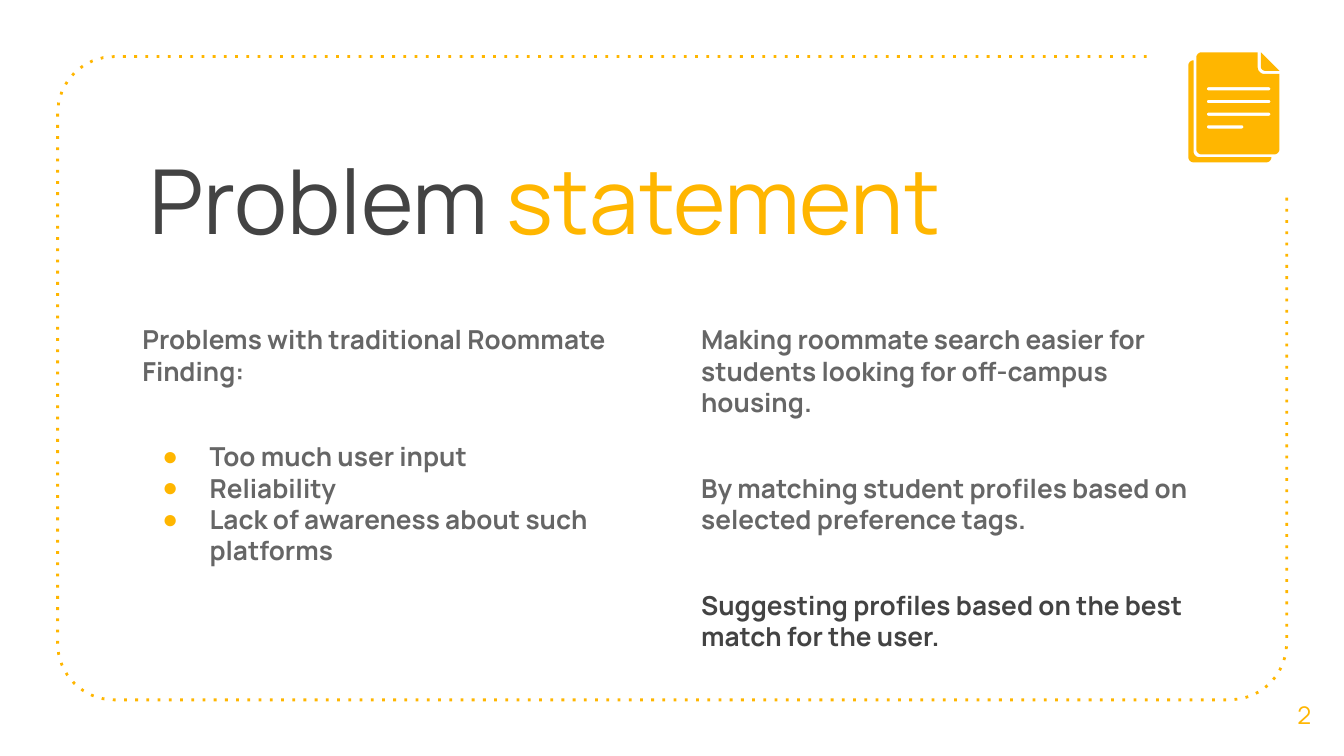
from math import cos, radians, sin

from lxml import etree
from pptx import Presentation
from pptx.dml.color import RGBColor
from pptx.enum.text import MSO_ANCHOR, MSO_AUTO_SIZE, PP_ALIGN
from pptx.oxml.ns import qn
from pptx.util import Cm, Pt

AMBER = RGBColor(0xFF, 0xB6, 0x00)
CHARCOAL = RGBColor(0x43, 0x43, 0x43)
GRAY = RGBColor(0x66, 0x66, 0x66)
FONT = "Manrope"
TWO_CONTENT_LAYOUT = 3
TOP, MIDDLE = MSO_ANCHOR.TOP, MSO_ANCHOR.MIDDLE
LEFT, CENTER = PP_ALIGN.LEFT, PP_ALIGN.CENTER
NO_AUTOFIT = MSO_AUTO_SIZE.NONE
INSET = Cm(0.25)
SECTION_GAP = Pt(29)

PROBLEMS = ["Too much user input", "Reliability", "Lack of awareness about such platforms"]
GOALS = [
    ("Making roommate search easier for students looking for off-campus housing.", GRAY),
    ("By matching student profiles based on selected preference tags.", GRAY),
    ("Suggesting profiles based on the best match for the user.", CHARCOAL),
]


def arc(center_x, center_y, radius, start, end, steps=8):
    """Points in cm along an arc; angles in degrees, clockwise from the right."""
    angles = [radians(start + (end - start) * step / steps) for step in range(steps + 1)]
    return [(center_x + radius * cos(a), center_y + radius * sin(a)) for a in angles]


def rounded_box(left, top, width, height, radius):
    right, bottom = left + width, top + height
    return (arc(left + radius, top + radius, radius, 180, 270)
            + arc(right - radius, top + radius, radius, 270, 360)
            + arc(right - radius, bottom - radius, radius, 0, 90)
            + arc(left + radius, bottom - radius, radius, 90, 180))


def add_outline(shapes, contours, close=True):
    """Freeform from contours in cm; later contours cut holes in the first."""
    contours = [[(Cm(x), Cm(y)) for x, y in contour] for contour in contours]
    builder = shapes.build_freeform(*contours[0][0])
    builder.add_line_segments(contours[0][1:], close=close)
    for contour in contours[1:]:
        builder.move_to(*contour[0])
        builder.add_line_segments(contour[1:], close=close)
    shape = builder.convert_to_shape()
    shape.shadow.inherit = False
    if close:
        shape.fill.solid()
        shape.fill.fore_color.rgb = AMBER
        shape.line.fill.background()
    return shape


def add_dotted_frame(slide, left, top, width, height):
    """Rounded frame left open at the top right corner for the icon."""
    radius, gap_x, gap_y = 1.07, 2.65, 2.64
    right, bottom = left + width, top + height
    points = ([(right - gap_x, top)]
              + arc(left + radius, top + radius, radius, 270, 180)
              + arc(left + radius, bottom - radius, radius, 180, 90)
              + arc(right - radius, bottom - radius, radius, 90, 0)
              + [(right, top + gap_y)])
    frame = add_outline(slide.shapes, [points], close=False)
    frame.fill.background()
    frame.line.color.rgb = AMBER
    frame.line.width = Pt(1.5)
    line = frame._element.spPr.find(qn("a:ln"))
    etree.SubElement(line, qn("a:prstDash"), val="dot")


def add_document_icon(slide, left, top, width, height):
    """Two stacked pages with a folded corner and four text lines."""
    offset, radius, fold, notch = 0.15, 0.1, 0.35, 0.41
    page_width, page_height = width - offset, height - offset
    page_left, right, bottom = left + offset, left + width, top + page_height
    group = slide.shapes.add_group_shape()

    back_right, back_bottom = left + page_width, top + height
    inner_x, inner_y = left + radius, bottom + 0.05
    back_page = (arc(left + radius, top + offset + radius, radius, 270, 180)
                 + arc(left + radius, back_bottom - radius, radius, 180, 90)
                 + arc(back_right - radius, back_bottom - radius, radius, 90, 0)
                 + arc(inner_x + radius, inner_y - radius, radius, 90, 180)
                 + [(inner_x, top + offset)])
    add_outline(group.shapes, [back_page])

    front_page = (arc(page_left + radius, top + radius, radius, 270, 180)
                  + arc(page_left + radius, bottom - radius, radius, 180, 90)
                  + arc(right - radius, bottom - radius, radius, 90, 0)
                  + [(right, top + notch)]
                  + arc(right - notch + 0.13, top + notch - 0.13, 0.13, 90, 180)
                  + [(right - notch, top)])
    text_lines = [rounded_box(page_left + 0.2, top + 0.66 + 0.24 * row, length, 0.06, 0.03)
                  for row, length in enumerate([1.2, 1.2, 1.2, 0.69])]
    add_outline(group.shapes, [front_page] + text_lines)

    folded_corner = ([(right - fold, top)]
                     + arc(right - fold + 0.08, top + fold - 0.08, 0.08, 180, 90)
                     + [(right, top + fold)])
    add_outline(group.shapes, [folded_corner])


def prepare_text(shape, box, anchor=TOP):
    shape.left, shape.top, shape.width, shape.height = [Cm(length) for length in box]
    frame = shape.text_frame
    frame.word_wrap = True
    frame.auto_size = NO_AUTOFIT
    frame.vertical_anchor = anchor
    frame.margin_left = frame.margin_right = INSET
    frame.margin_top = frame.margin_bottom = INSET
    return frame


def format_paragraph(paragraph, size, color=None, bold=False, alignment=LEFT):
    paragraph.alignment = alignment
    paragraph.font.name = FONT
    paragraph.font.size = Pt(size)
    paragraph.font.bold = bold
    if color is not None:
        paragraph.font.color.rgb = color


def set_bullet(paragraph, bulleted):
    properties = paragraph._p.get_or_add_pPr()
    properties.set("marL", str(Cm(1.27) if bulleted else 0))
    properties.set("indent", str(Cm(-0.89) if bulleted else 0))
    if bulleted:
        color = etree.Element(qn("a:buClr"))
        etree.SubElement(color, qn("a:srgbClr"), val=str(AMBER))
        bullets = [color, etree.Element(qn("a:buChar"), char="●")]
    else:
        bullets = [etree.Element(qn("a:buNone"))]
    default_font = properties.find(qn("a:defRPr"))
    for bullet in bullets:
        default_font.addprevious(bullet)


def fill_title(title, box):
    paragraph = prepare_text(title, box).paragraphs[0]
    format_paragraph(paragraph, 48)
    for text, color in [("Problem ", CHARCOAL), ("statement", AMBER)]:
        run = paragraph.add_run()
        run.text = text
        run.font.color.rgb = color


def fill_body(body, box, items):
    """Each item is (text, color, space before, bulleted)."""
    frame = prepare_text(body, box)
    for index, (text, color, space_before, bulleted) in enumerate(items):
        paragraph = frame.add_paragraph() if index else frame.paragraphs[0]
        paragraph.text = text
        format_paragraph(paragraph, 14, color, bold=True)
        paragraph.space_before = space_before
        set_bullet(paragraph, bulleted)


def add_page_number(slide, box, number):
    text_box = slide.shapes.add_textbox(*[Cm(length) for length in box])
    paragraph = prepare_text(text_box, box, MIDDLE).paragraphs[0]
    paragraph.text = str(number)
    format_paragraph(paragraph, 13, AMBER, alignment=CENTER)


def main():
    presentation = Presentation()
    presentation.slide_width, presentation.slide_height = Cm(25.4), Cm(14.29)
    slide = presentation.slides.add_slide(presentation.slide_layouts[TWO_CONTENT_LAYOUT])
    title, problems, goals = slide.placeholders

    problem_items = [("Problems with traditional Roommate Finding:", GRAY, Pt(6), False)]
    problem_items += [(text, GRAY, Pt(0) if index else SECTION_GAP, True)
                      for index, text in enumerate(PROBLEMS)]
    goal_items = [(text, color, SECTION_GAP if index else Pt(6), False)
                  for index, (text, color) in enumerate(GOALS)]

    add_dotted_frame(slide, 1.09, 1.07, 23.23, 12.16)
    fill_title(title, (2.57, 2.49, 19.08, 2.39))
    fill_body(problems, (2.44, 5.87, 9.86, 4.14), problem_items)
    fill_body(goals, (13, 5.87, 9.86, 5.49), goal_items)
    add_page_number(slide, (23.9, 12.75, 1.5, 1.52), 2)
    add_document_icon(slide, 22.46, 0.99, 1.72, 2.08)
    presentation.save("out.pptx")


if __name__ == "__main__":
    main()
